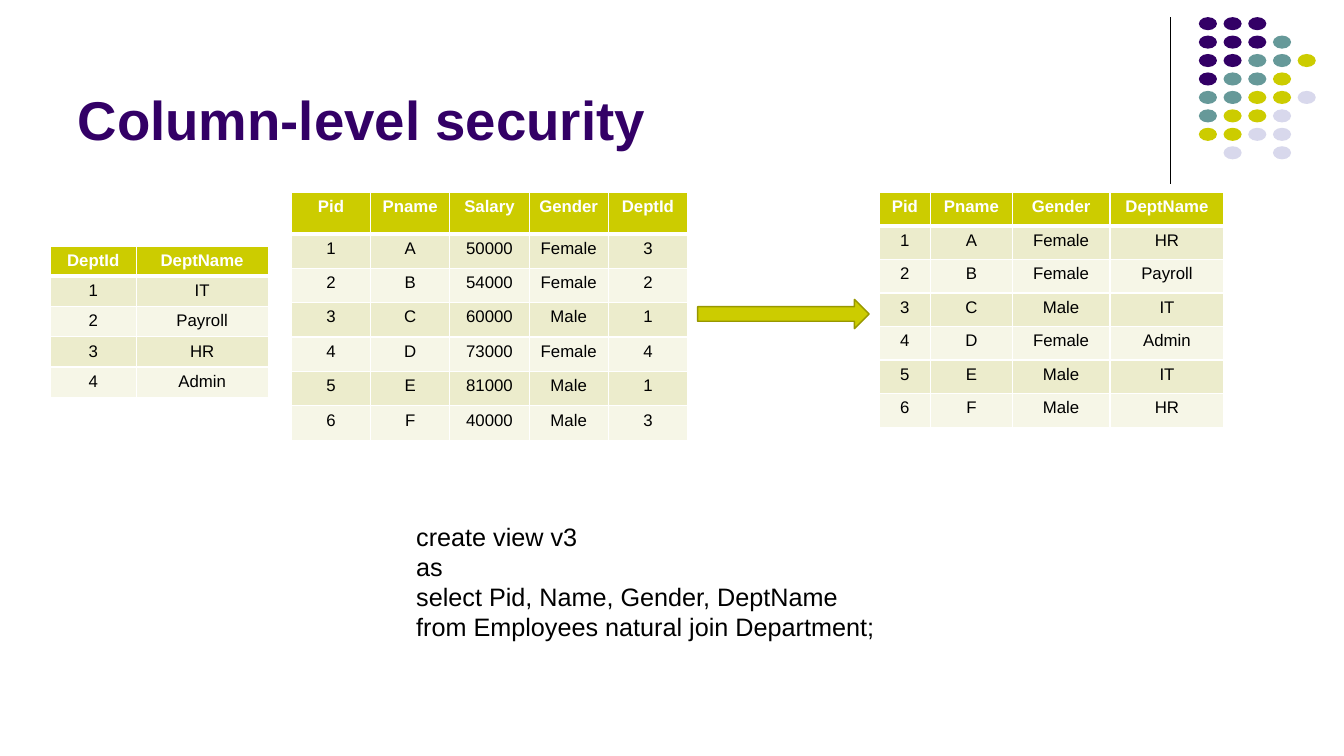
from lxml.etree import SubElement
from pptx import Presentation
from pptx.dml.color import RGBColor
from pptx.enum.shapes import MSO_CONNECTOR, MSO_SHAPE
from pptx.enum.text import MSO_ANCHOR, PP_ALIGN
from pptx.oxml.ns import qn
from pptx.util import Emu, Pt

PX = 9144  # 100 px to the inch
FONT = "Arial"
PURPLE = RGBColor(0x33, 0x00, 0x66)
TEAL = RGBColor(0x66, 0x99, 0x99)
LIME = RGBColor(0xCC, 0xCC, 0x00)
LAVENDER = RGBColor(0xD8, 0xD8, 0xEC)
OLIVE = RGBColor(0x97, 0x97, 0x00)
BAND_DARK = RGBColor(0xEC, 0xEC, 0xCC)
BAND_LIGHT = RGBColor(0xF6, 0xF6, 0xE7)
WHITE = RGBColor(0xFF, 0xFF, 0xFF)
BLACK = RGBColor(0x00, 0x00, 0x00)

DOT_COLOURS = {"P": PURPLE, "T": TEAL, "L": LIME, "V": LAVENDER}
DOT_ROWS = ["PPP", "PPPT", "PPTTL", "PTTL", "TTLLV", "TLLV", "LLVV", " V V"]

DEPARTMENTS = ["DeptId DeptName", "1 IT", "2 Payroll", "3 HR", "4 Admin"]
EMPLOYEES = [
    "Pid Pname Salary Gender DeptId",
    "1 A 50000 Female 3",
    "2 B 54000 Female 2",
    "3 C 60000 Male 1",
    "4 D 73000 Female 4",
    "5 E 81000 Male 1",
    "6 F 40000 Male 3",
]
VIEW_ROWS = [
    "Pid Pname Gender DeptName",
    "1 A Female HR",
    "2 B Female Payroll",
    "3 C Male IT",
    "4 D Female Admin",
    "5 E Male IT",
    "6 F Male HR",
]
QUERY = [
    "create view v3",
    "as",
    "select Pid, Name, Gender, DeptName",
    "from Employees natural join Department;",
]


def px(*lengths):
    return [Emu(round(length * PX)) for length in lengths]


def set_font(para, size, colour, bold=False):
    font = para.font
    font.name, font.size, font.bold = FONT, Pt(size), bold
    font.color.rgb = colour


def add_title(page, box, text):
    title = page.shapes.title
    title.left, title.top, title.width, title.height = px(*box)
    frame = title.text_frame
    frame.text = text
    frame.vertical_anchor = MSO_ANCHOR.BOTTOM
    frame.paragraphs[0].alignment = PP_ALIGN.LEFT
    set_font(frame.paragraphs[0], 39, PURPLE, True)


def add_corner_motif(page, box):
    """A vertical rule at the left edge and a grid of dots at the right."""
    left, top, width, height = box
    rule = page.shapes.add_connector(
        MSO_CONNECTOR.STRAIGHT, *px(left, top, left, top + height))
    rule.line.color.rgb = BLACK
    rule.line.width = Pt(0.75)
    SubElement(rule._element.spPr, qn("a:effectLst"))

    dot_width, dot_height = 18, 13
    pitch_x, pitch_y = 24.5, 18.3
    grid_left = left + width - 4 * pitch_x - dot_width
    for row, colours in enumerate(DOT_ROWS):
        for column, key in enumerate(colours):
            if key == " ":
                continue
            dot = page.shapes.add_shape(MSO_SHAPE.OVAL, *px(
                grid_left + column * pitch_x, top + row * pitch_y,
                dot_width, dot_height))
            dot.shadow.inherit = False
            dot.fill.solid()
            dot.fill.fore_color.rgb = DOT_COLOURS[key]
            dot.line.fill.background()


def add_borders(cell, is_header):
    properties = cell._tc.get_or_add_tcPr()
    for side in "LRTB":
        points = 3 if is_header and side == "B" else 1
        border = SubElement(properties, qn(f"a:ln{side}"), w=str(Pt(points)))
        fill = SubElement(border, qn("a:solidFill"))
        SubElement(fill, qn("a:srgbClr"), val=str(WHITE))


def add_data_table(page, box, rows, widths, header_height):
    grid = page.shapes.add_table(len(rows), len(widths), *px(*box)).table
    for column, width in zip(grid.columns, px(*widths)):
        column.width = width
    body_height = (box[3] - header_height) / (len(rows) - 1)
    for index, line in enumerate(rows):
        is_header = index == 0
        grid.rows[index].height = px(header_height if is_header else body_height)[0]
        band = BAND_DARK if index % 2 else BAND_LIGHT
        for cell, text in zip(grid.rows[index].cells, line.split()):
            add_borders(cell, is_header)
            cell.fill.solid()
            cell.fill.fore_color.rgb = LIME if is_header else band
            cell.margin_left, cell.margin_right = px(7, 7)
            cell.text = text
            para = cell.text_frame.paragraphs[0]
            para.alignment = PP_ALIGN.CENTER
            set_font(para, 12, WHITE if is_header else BLACK, is_header)


def add_arrow(page, box):
    arrow = page.shapes.add_shape(MSO_SHAPE.RIGHT_ARROW, *px(*box))
    arrow.shadow.inherit = False
    arrow.fill.solid()
    arrow.fill.fore_color.rgb = LIME
    arrow.line.color.rgb = OLIVE
    arrow.line.width = Pt(1)


def add_query(page, box, lines):
    frame = page.shapes.add_textbox(*px(*box)).text_frame
    frame.word_wrap = True
    frame.text = "\n".join(lines)
    for para in frame.paragraphs:
        set_font(para, 18, BLACK)


def main():
    deck = Presentation()
    deck.slide_width, deck.slide_height = px(1333, 750)
    page = deck.slides.add_slide(deck.slide_layouts[5])

    # Heading and decoration
    add_corner_motif(page, (1161, 17, 144, 166))
    add_title(page, (67, 13, 1100, 142), "Column-level security")

    # SQL text
    add_query(page, (403, 512, 527, 131), QUERY)

    # Source tables, arrow and resulting view
    add_data_table(page, (50, 244, 216, 150), DEPARTMENTS, [85, 131], 30)
    add_data_table(page, (289, 191, 393, 246), EMPLOYEES, [78.6] * 5, 41)
    add_arrow(page, (692, 297, 170, 29))
    add_data_table(page, (872, 191, 342, 233), VIEW_ROWS, [51, 81, 97, 113], 33)

    deck.save("out.pptx")


if __name__ == "__main__":
    main()
